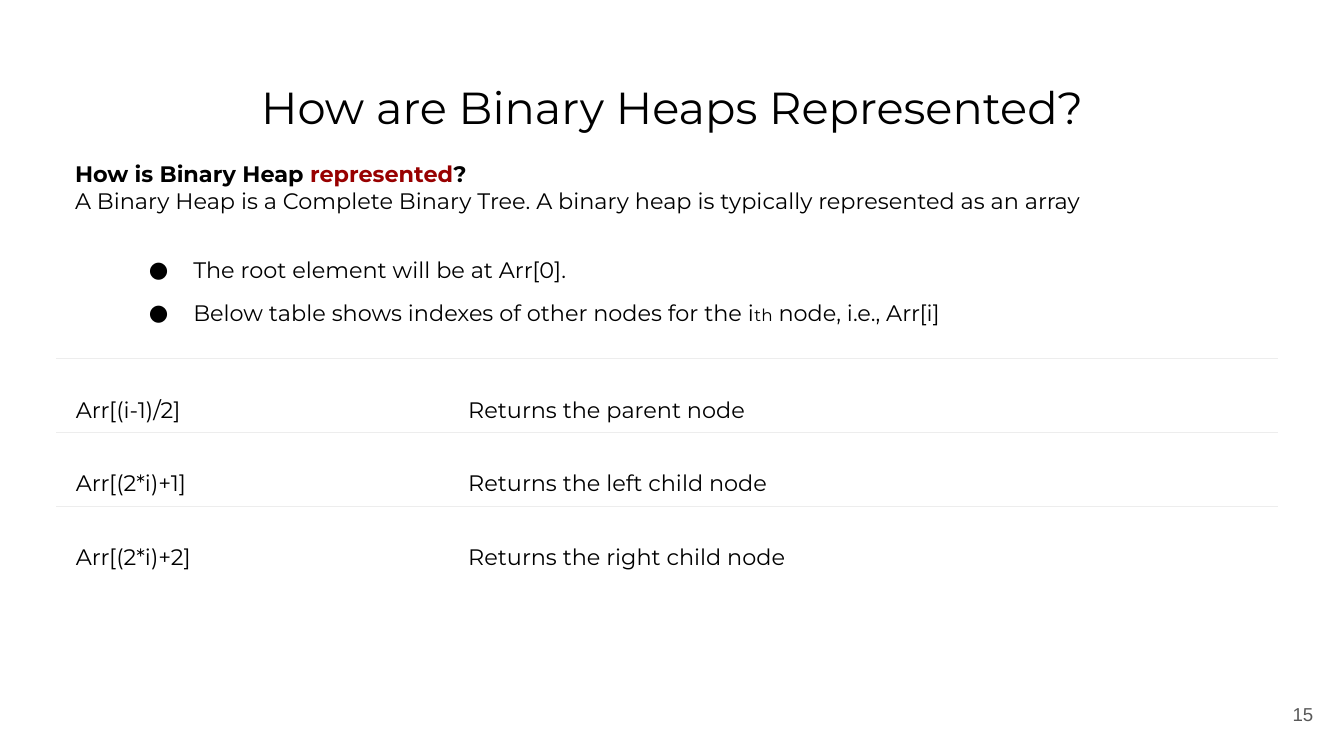
from lxml import etree
from pptx import Presentation
from pptx.dml.color import RGBColor
from pptx.enum.text import MSO_ANCHOR, PP_ALIGN
from pptx.oxml.ns import qn
from pptx.util import Inches, Pt

BLACK = RGBColor(0x00, 0x00, 0x00)
DARK_RED = RGBColor(0x98, 0x00, 0x00)
GRAY = RGBColor(0x59, 0x59, 0x59)
RULE_GRAY = RGBColor(0xED, 0xED, 0xED)
LEFT, CENTER, RIGHT = PP_ALIGN.LEFT, PP_ALIGN.CENTER, PP_ALIGN.RIGHT
TOP, MIDDLE = MSO_ANCHOR.TOP, MSO_ANCHOR.MIDDLE
FONT = "Montserrat"
SLIDE_WIDTH = 10
SLIDE_HEIGHT = SLIDE_WIDTH * 9 / 16

# Content: a paragraph is a list of (text, format) runs
TITLE = "How are Binary Heaps Represented?"
PAGE_NUMBER = "15"
INTRO = [
    [("How is Binary Heap ", {"bold": True}),
     ("represented", {"bold": True, "color": DARK_RED}),
     ("?", {"bold": True})],
    [("A Binary Heap is a Complete Binary Tree. "
      "A binary heap is typically represented as an array", {})],
]
BULLETS = [
    [("The root element will be at Arr[0].", {})],
    [("Below table shows indexes of other nodes for the i", {}),
     ("th", {"size": 9}),
     (" node, i.e., Arr[i]", {})],
]
INDEX_ROWS = [
    ("Arr[(i-1)/2]", "Returns the parent node"),
    ("Arr[(2*i)+1]", "Returns the left child node"),
    ("Arr[(2*i)+2]", "Returns the right child node"),
]
COLUMN_WIDTHS = (2.92, 6.17)
ROW_HEIGHT = 0.49


def add_text(paragraph, text, size=12, font=FONT, color=BLACK,
             bold=False, align=LEFT, spacing=None):
    paragraph.alignment = align
    if spacing:
        paragraph.line_spacing = spacing
    run = paragraph.add_run()
    run.text = text
    run.font.size = Pt(size)
    run.font.name = font
    run.font.color.rgb = color
    run.font.bold = bold


def add_box(slide, left, top, width, height, anchor=TOP):
    box = slide.shapes.add_textbox(Inches(left), Inches(top), Inches(width), Inches(height))
    frame = box.text_frame
    frame.word_wrap = True
    frame.vertical_anchor = anchor
    frame.margin_left = frame.margin_right = Inches(0.1)
    frame.margin_top = frame.margin_bottom = Inches(0.1)
    return frame


def set_bullet(paragraph):
    properties = paragraph._p.get_or_add_pPr()
    properties.set("marL", str(Inches(0.88)))
    properties.set("indent", str(Inches(-0.33)))
    color = etree.SubElement(properties, qn("a:buClr"))
    etree.SubElement(color, qn("a:srgbClr"), val=str(BLACK))
    etree.SubElement(properties, qn("a:buSzPts"), val="1200")
    etree.SubElement(properties, qn("a:buFont"), typeface=FONT)
    etree.SubElement(properties, qn("a:buChar"), char="●")


def set_borders(cell, ruled_sides):
    properties = cell._tc.get_or_add_tcPr()
    for position, side in enumerate("LRTB"):
        line = etree.Element(qn(f"a:ln{side}"), w=str(Pt(0.75)))
        if side in ruled_sides:
            fill = etree.SubElement(line, qn("a:solidFill"))
            etree.SubElement(fill, qn("a:srgbClr"), val=str(RULE_GRAY))
        else:
            etree.SubElement(line, qn("a:noFill"))
        properties.insert(position, line)


def add_index_table(slide):
    table = slide.shapes.add_table(
        len(INDEX_ROWS), len(COLUMN_WIDTHS), Inches(0.42), Inches(2.67),
        Inches(sum(COLUMN_WIDTHS)), Inches(ROW_HEIGHT * len(INDEX_ROWS))).table
    table.first_row = table.horz_banding = False
    for column, width in zip(table.columns, COLUMN_WIDTHS):
        column.width = Inches(width)
    for r, texts in enumerate(INDEX_ROWS):
        # The last row is open at the bottom
        ruled_sides = "T" if r == len(INDEX_ROWS) - 1 else "TB"
        for c, text in enumerate(texts):
            cell = table.cell(r, c)
            cell.fill.background()
            cell.vertical_anchor = MIDDLE
            cell.margin_left = cell.margin_right = Pt(10.4)
            cell.margin_top = cell.margin_bottom = Pt(5.4)
            set_borders(cell, ruled_sides)
            add_text(cell.text_frame.paragraphs[0], text, spacing=2.0)


def main():
    deck = Presentation()
    deck.slide_width, deck.slide_height = Inches(SLIDE_WIDTH), Inches(SLIDE_HEIGHT)
    slide = deck.slides.add_slide(deck.slide_layouts[6])

    # Title and page number
    title = add_box(slide, 0.34, 0.49, 9.32, 0.63)
    add_text(title.paragraphs[0], TITLE, size=24, align=CENTER)
    number = add_box(slide, 9.27, 5.1, 0.6, 0.43, anchor=MIDDLE)
    add_text(number.paragraphs[0], PAGE_NUMBER, size=10, font="Arial",
             color=GRAY, align=RIGHT)

    # Table of node indexes
    add_index_table(slide)

    # Introduction, then bullets after a gap of one line
    body = add_box(slide, 0.46, 1.09, 8.42, 0.84)
    for i, runs in enumerate(INTRO + BULLETS):
        paragraph = body.add_paragraph() if i else body.paragraphs[0]
        if i == len(INTRO):
            paragraph.space_before = Pt(14.5)
        if i >= len(INTRO):
            paragraph.line_spacing = 1.58
            set_bullet(paragraph)
        for text, style in runs:
            add_text(paragraph, text, **style)

    deck.save("out.pptx")


if __name__ == "__main__":
    main()
